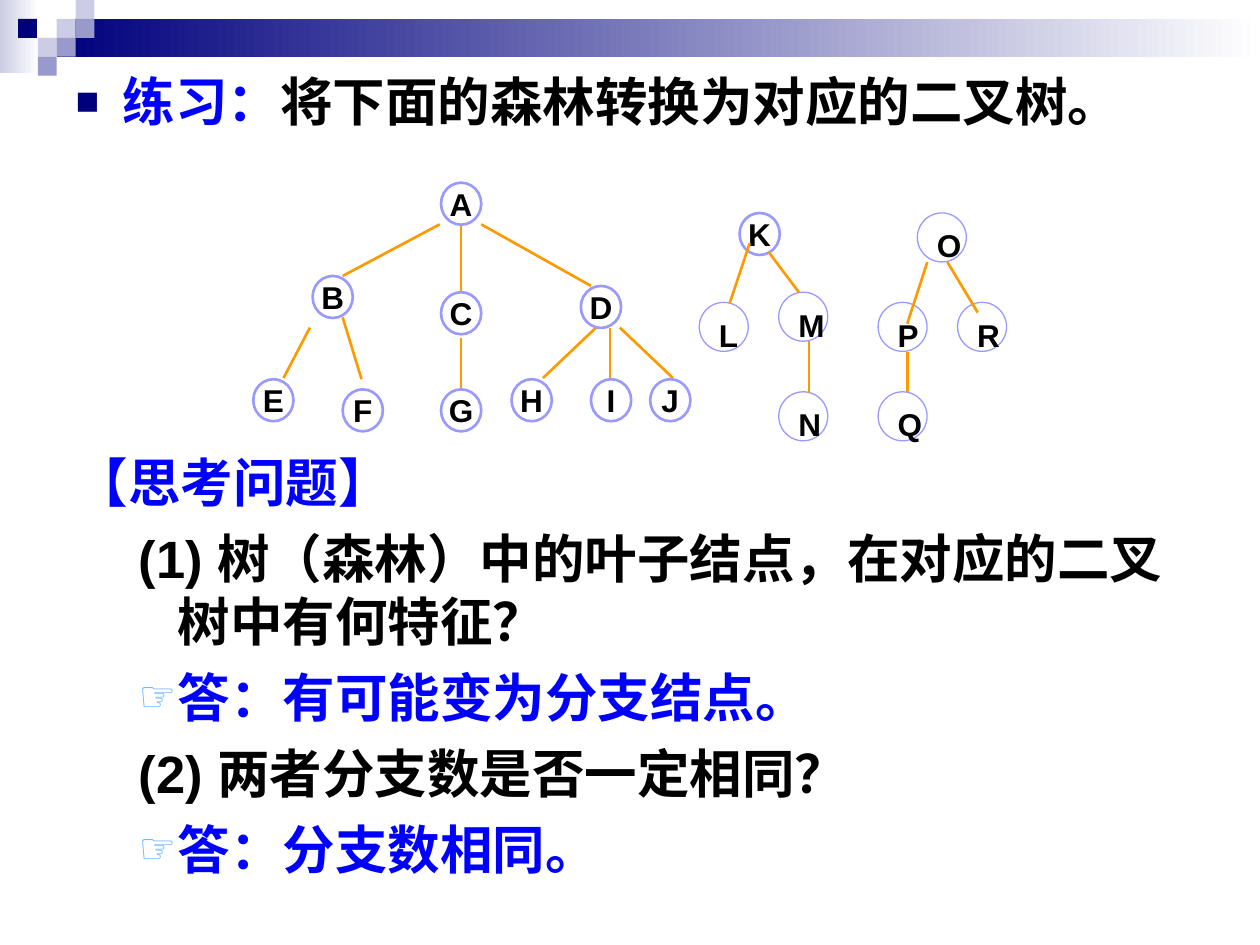
from dataclasses import dataclass

from lxml import etree
from pptx import Presentation
from pptx.dml.color import RGBColor
from pptx.enum import shapes, text
from pptx.oxml import ns
from pptx.util import Pt


@dataclass(frozen=True)
class Theme:
    font: str = "Arial"
    body_size: int = 30
    node_size: int = 18
    black: str = "000000"
    white: str = "FFFFFF"
    blue: str = "0000FF"
    navy: str = "00007D"
    lavender: str = "CCCCE6"
    violet: str = "9999CC"
    outline: str = "9999FF"
    edge: str = "FF9900"
    pointer: str = "67AFFF"


THEME = Theme()
CELL = 10.8

# (left, top, colour) of the header squares
HEADER_SQUARES = [
    (32.4, 10.8, THEME.lavender), (43.2, 0, THEME.lavender),
    (43.2, 10.8, THEME.violet), (21.6, 21.6, THEME.lavender),
    (10.3, 10.8, THEME.navy), (32.4, 21.6, THEME.violet),
    (21.6, 32.4, THEME.violet),
]

# Left and top of each node
SMALL_NODES = {
    "A": (252, 104.4), "B": (178.6, 157.7), "C": (252, 167), "D": (331.9, 163.4),
    "E": (144.7, 216.7), "F": (195.8, 222.5), "G": (252, 222.5),
    "H": (292.3, 216.7), "I": (337.7, 216.7), "J": (371.5, 216.7),
    "K": (422.6, 121.7),
}
LARGE_NODES = {
    "L": (399.6, 172.8), "M": (445, 167), "N": (445, 223.9), "O": (524.2, 121.7),
    "P": (501.8, 172.8), "Q": (501.8, 223.9), "R": (547.2, 172.8),
}

# Start x, start y, end x, end y of each edge
EDGES_BEHIND = {
    "AB": (251.3, 128.2, 195.8, 157.7), "AD": (275, 128.2, 337.7, 163.4),
    "AC": (263.5, 128.2, 263.5, 169.2), "CG": (263.5, 193, 263.5, 222.5),
    "PQ": (518.4, 200.9, 518.4, 235.4), "DI": (348.5, 187.2, 348.5, 216),
    "BF": (195.8, 181.4, 206.6, 216.7), "BE": (177.1, 187.2, 162, 216),
    "DJ": (354.2, 187.2, 384.5, 216), "DH": (340.6, 187.2, 310.3, 216),
}
EDGES_IN_FRONT = {
    "KM": (439.2, 144, 456.5, 167), "OP": (529.9, 149.8, 518.4, 185),
    "MN": (462.2, 195.1, 462.2, 224.6), "OR": (541.4, 149.8, 558.7, 178.6),
    "KL": (428.4, 139, 416.9, 173.5),
}


def color(value):
    return RGBColor.from_string(value)


def style_font(font, size, value):
    font.name = THEME.font
    font.size = Pt(size)
    font.bold = True
    font.color.rgb = color(value)


def add_block(slide, left, top, width, height, start, end=None):
    """Add a borderless rectangle, with a left-to-right gradient if end is given."""
    shape = slide.shapes.add_shape(
        shapes.MSO_SHAPE.RECTANGLE, Pt(left), Pt(top), Pt(width), Pt(height))
    shape.shadow.inherit = False
    shape.line.fill.background()
    if end is None:
        shape.fill.solid()
        shape.fill.fore_color.rgb = color(start)
        return
    shape.fill.gradient()
    shape.fill.gradient_angle = 0
    for stop, value in zip(shape.fill.gradient_stops, (start, end)):
        stop.color.rgb = color(value)


def add_header(slide):
    add_block(slide, 0, 0, 22.3, 41.8, THEME.lavender, THEME.white)
    add_block(slide, 32.4, CELL, 687.6, 21.6, THEME.navy, THEME.white)
    for left, top, value in HEADER_SQUARES:
        add_block(slide, left, top, CELL, CELL, value)


def set_bullet(paragraph, character, value, percent):
    properties = paragraph._p.get_or_add_pPr()

    def add(parent, tag, **attributes):
        return etree.SubElement(parent, ns.qn(tag), **attributes)

    if character is None:
        add(properties, "a:buNone")
        return
    add(add(properties, "a:buClr"), "a:srgbClr", val=value)
    add(properties, "a:buSzPct", val=str(percent * 1000))
    add(properties, "a:buFont", typeface=THEME.font)
    add(properties, "a:buChar", char=character)


def add_item(paragraph, runs, level=0, bullet=(None, None, None), before=7.5):
    """Fill a list paragraph with (wording, colour) runs."""
    margin, hanging = ((27, 27), (58.5, 22.5))[level]
    paragraph.level = level
    properties = paragraph._p.get_or_add_pPr()
    properties.set("marL", str(Pt(margin)))
    properties.set("indent", str(-Pt(hanging)))
    set_bullet(paragraph, *bullet)
    paragraph.space_before = Pt(before)
    paragraph.line_spacing = Pt(36)
    style_font(paragraph.font, THEME.body_size, runs[0][1])
    for wording, value in runs:
        run = paragraph.add_run()
        run.text = wording
        if value != runs[0][1]:
            run.font.color.rgb = color(value)


def fill_body(body):
    body.left, body.top, body.width, body.height = Pt(36), Pt(36), Pt(648), Pt(504)
    frame = body.text_frame
    frame.auto_size = text.MSO_AUTO_SIZE.NONE
    frame.word_wrap = True
    square = ("■", THEME.navy, 75)
    pointer = ("☞", THEME.pointer, 80)
    add_item(frame.paragraphs[0],
             [("练习：", THEME.blue), ("将下面的森林转换为对应的二叉树。", THEME.black)],
             bullet=square, before=0)
    # The wide gap leaves room for the forest
    add_item(frame.add_paragraph(), [("【思考问题】", THEME.blue)], before=181.5)
    for question, answer in [
        ("(1) 树（森林）中的叶子结点，在对应的二叉树中有何特征？", "答：有可能变为分支结点。"),
        ("(2) 两者分支数是否一定相同？", "答：分支数相同。"),
    ]:
        add_item(frame.add_paragraph(), [(question, THEME.black)], level=1)
        add_item(frame.add_paragraph(), [(answer, THEME.blue)], level=1, bullet=pointer)


def add_edges(group, edges):
    for points in edges.values():
        edge = group.shapes.add_connector(
            shapes.MSO_CONNECTOR.STRAIGHT, *(Pt(value) for value in points))
        edge.line.color.rgb = color(THEME.edge)
        edge.line.width = Pt(1.5)
        etree.SubElement(edge._element.spPr, ns.qn("a:effectLst"))


def add_nodes(group, nodes, width, height, line_width, centred):
    for label, (left, top) in nodes.items():
        node = group.shapes.add_shape(
            shapes.MSO_SHAPE.OVAL, Pt(left), Pt(top), Pt(width), Pt(height))
        node.shadow.inherit = False
        node.fill.solid()
        node.fill.fore_color.rgb = color(THEME.white)
        node.line.color.rgb = color(THEME.outline)
        node.line.width = Pt(line_width)
        frame = node.text_frame
        frame.word_wrap = not centred
        frame.vertical_anchor = text.MSO_ANCHOR.MIDDLE if centred else text.MSO_ANCHOR.TOP
        paragraph = frame.paragraphs[0]
        paragraph.text = label
        paragraph.alignment = text.PP_ALIGN.CENTER if centred else text.PP_ALIGN.JUSTIFY
        style_font(paragraph.font, THEME.node_size, THEME.black)


def add_forest(slide):
    group = slide.shapes.add_group_shape()
    add_edges(group, EDGES_BEHIND)
    add_nodes(group, SMALL_NODES, 23, 24, 1.5, centred=True)
    add_nodes(group, LARGE_NODES, 28, 28, 0.75, centred=False)
    add_edges(group, EDGES_IN_FRONT)


def main():
    presentation = Presentation()
    presentation.slide_width, presentation.slide_height = Pt(720), Pt(540)
    slide = presentation.slides.add_slide(presentation.slide_layouts[1])
    title, body = slide.placeholders
    slide.shapes.element.remove(title.element)
    add_header(slide)
    slide.shapes.element.append(body.element)
    fill_body(body)
    add_forest(slide)
    presentation.save("out.pptx")


if __name__ == "__main__":
    main()
